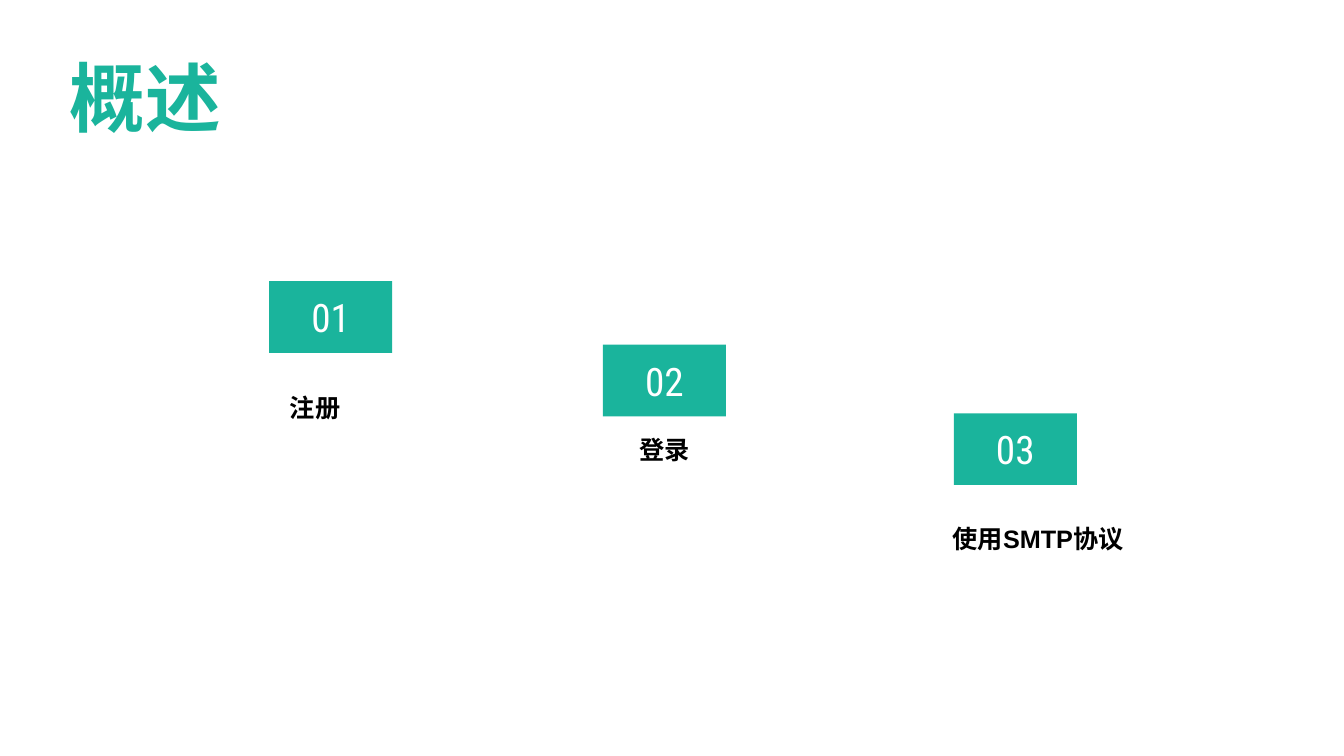
from lxml import etree
from pptx import Presentation, util as u
from pptx.dml.color import RGBColor
from pptx.enum import shapes, text
from pptx.oxml import ns

GREEN, WHITE, BLACK = "1AB49C", "FFFFFF", "000000"
CJK = "Noto Sans CJK SC"


def color(hex_string):
    return RGBColor.from_string(hex_string)


def write(box, wording, size, face, hex_string, bold, anchor):
    frame = box.text_frame
    frame.word_wrap = False
    frame.auto_size = text.MSO_AUTO_SIZE.NONE
    frame.vertical_anchor = anchor
    para = frame.paragraphs[0]
    para.alignment = text.PP_ALIGN.CENTER
    span = para.add_run()
    span.text = wording
    span.font.size = u.Pt(size)
    span.font.bold = bold
    span.font.name = face
    span.font.color.rgb = color(hex_string)
    east_asian = etree.SubElement(span.font._element, ns.qn("a:ea"))
    east_asian.set("typeface", CJK)


deck = Presentation()
deck.slide_width, deck.slide_height = u.Inches(13.33), u.Inches(7.5)
page = deck.slides.add_slide(deck.slide_layouts[5])
page.background.fill.solid()
page.background.fill.fore_color.rgb = color(WHITE)

title = page.shapes.title
title.left, title.top = u.Inches(0.59), u.Inches(0.46)
title.width, title.height = u.Inches(1.7), u.Inches(1.01)
title.text_frame.margin_left = title.text_frame.margin_right = 0
write(title, "概述", 54, CJK, GREEN, True, text.MSO_ANCHOR.TOP)

steps = [
    ("注册", CJK, 2.67, 2.79, 1.97, 3.82),
    ("登录", "Arial", 5.98, 3.42, 5.44, 4.24),
    ("使用SMTP协议", "Arial", 9.46, 4.1, 9.14, 5.12),
]
for number, (topic, face, left, top, label_left, label_top) in enumerate(steps, 1):
    badge = page.shapes.add_shape(
        shapes.MSO_SHAPE.RECTANGLE,
        u.Inches(left), u.Inches(top), u.Inches(1.22), u.Inches(0.71))
    badge.shadow.inherit = False
    badge.fill.solid()
    badge.fill.fore_color.rgb = color(GREEN)
    badge.line.fill.background()
    write(badge, f"{number:02}", 28, "Roboto Condensed", WHITE, False,
          text.MSO_ANCHOR.MIDDLE)

    label = page.shapes.add_textbox(
        u.Inches(label_left), u.Inches(label_top), u.Inches(2.31), u.Inches(0.42))
    write(label, topic, 18, face, BLACK, True, text.MSO_ANCHOR.BOTTOM)

deck.save("out.pptx")
